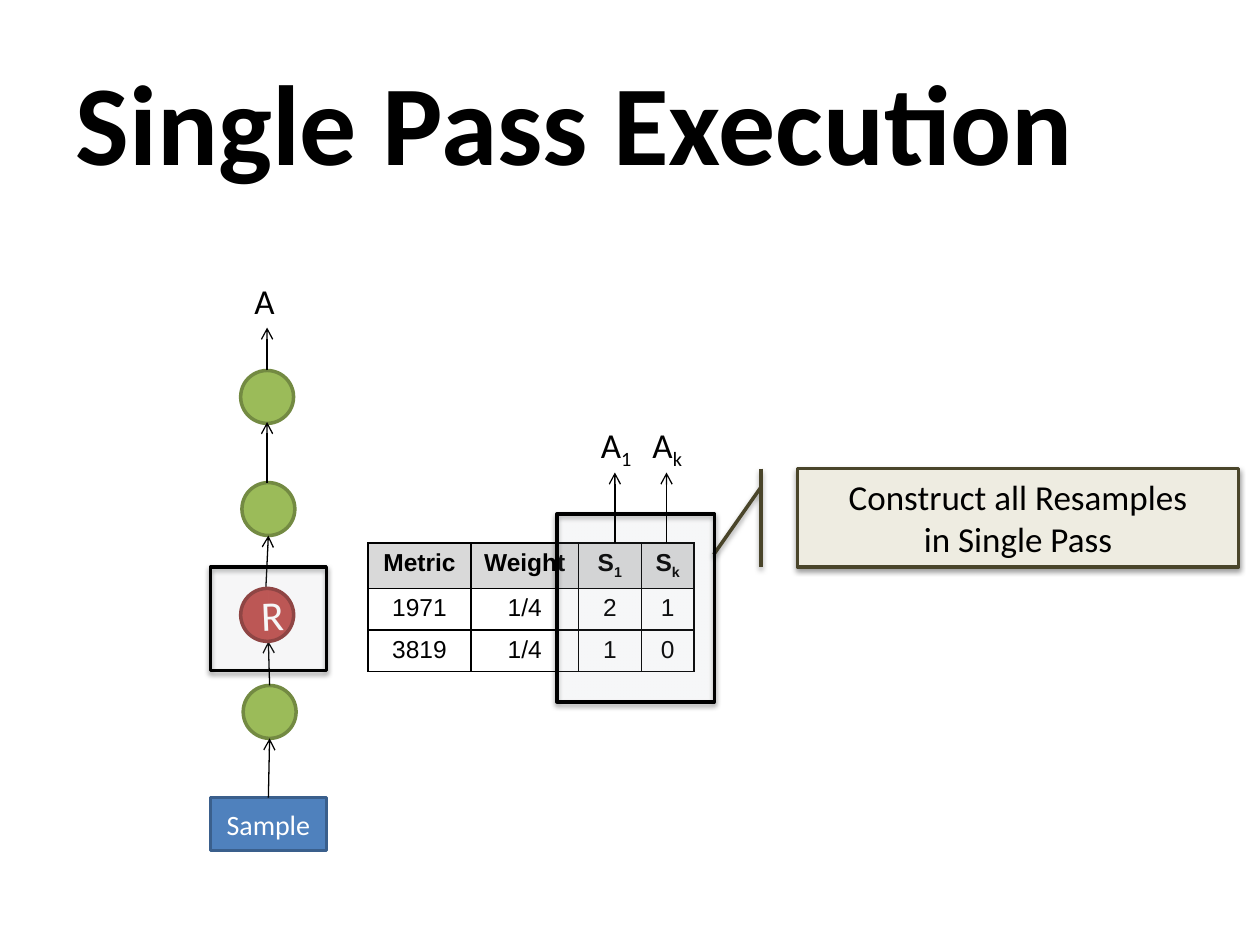
"""Builds the Single Pass Execution slide with its operator chain and resample table."""
from lxml.etree import SubElement
from pptx import Presentation
from pptx.dml.color import RGBColor
from pptx.enum.shapes import MSO_CONNECTOR, MSO_SHAPE
from pptx.enum.text import MSO_ANCHOR, MSO_AUTO_SIZE, PP_ALIGN
from pptx.oxml import parse_xml
from pptx.oxml.ns import nsdecls, qn
from pptx.util import Inches, Pt

THEME = {
    "sans": "Calibri", "grid": "Arial",
    "black": "000000", "white": "FFFFFF", "head": "D9D9D9", "tint": "DCE6F2",
    "blue": ("4F81BD", "3A5F8C"), "green": ("9BBB59", "738A42"),
    "red": ("C0504D", "8E3B39"), "note": ("EEECE1", "4A452A"),
    "title": 65, "op": 24, "label": 20, "box": 16, "cell": 14,
    "edge": 2, "arrow": 0.75,
}

TITLE = "Single Pass Execution"
NOTE = "Construct all Resamples\nin Single Pass"
BEND = (0.188, -0.083, 0.873, -0.19)
DOT = 0.42
DOTS = [(1.93, 5.44), (1.92, 3.83), (1.91, 2.94)]
CHAIN = [
    ((2.14, 5.44), (2.13, 5.09)),
    ((2.11, 4.67), (2.13, 4.25)),
    ((2.12, 3.83), (2.12, 3.35)),
    ((2.12, 2.94), (2.12, 2.6)),
]
FRAMES = [(1.67, 4.5, 0.92, 0.82), (4.42, 4.08, 1.25, 1.49)]
ROWS = [
    ("Metric", "Weight", "S_1", "S_k"),
    ("1971", "1/4", "2", "1"),
    ("3819", "1/4", "1", "0"),
]
COLS = [0.82, 0.85, 0.5, 0.42]
TALL = [0.36, 0.33, 0.33]
LEFT, TOP = 2.92, 4.31
LABELS = [("A", 1.92, 2.17, 0.37), ("A_1", 4.67, 3.31, 0.46), ("A_k", 5.08, 3.31, 0.45)]
RISES = [4.88, 5.29]


def rgb(key):
    return RGBColor.from_string(THEME.get(key, key))


def write(frame, text, size, color="black", face="sans", bold=False, align=PP_ALIGN.CENTER):
    for i, row in enumerate(text.split("\n")):
        para = frame.paragraphs[0] if i == 0 else frame.add_paragraph()
        para.alignment = align
        for j, part in enumerate(row.split("_")):
            run = para.add_run()
            run.text = part
            font = run.font
            font.name, font.size, font.bold = THEME[face], Pt(THEME[size]), bold
            font.color.rgb = rgb(color)
            if j:
                font._element.set("baseline", "-25000")


def draw(slide, kind, place, fill, edge, text="", size="box", color="white"):
    shape = slide.shapes.add_shape(kind, *map(Inches, place))
    shape.shadow.inherit = False
    shape.fill.solid()
    shape.fill.fore_color.rgb = rgb(fill)
    shape.line.color.rgb = rgb(edge)
    shape.line.width = Pt(THEME["edge"])
    shape.text_frame.vertical_anchor = MSO_ANCHOR.MIDDLE
    if text:
        write(shape.text_frame, text, size, color)
    return shape


def shade(shape):
    effects = shape._element.spPr.find(qn("a:effectLst"))
    effects.append(parse_xml(
        f'<a:outerShdw {nsdecls("a")} blurRad="{Pt(3.1)}" dist="{Pt(1.6)}" dir="5400000" '
        'rotWithShape="0"><a:srgbClr val="000000"><a:alpha val="38000"/></a:srgbClr></a:outerShdw>'))


def arrow(slide, start, end):
    link = slide.shapes.add_connector(MSO_CONNECTOR.STRAIGHT, *map(Inches, start + end))
    link.line.color.rgb = rgb("black")
    link.line.width = Pt(THEME["arrow"])
    SubElement(link.line._get_or_add_ln(), qn("a:tailEnd"), type="arrow")
    SubElement(link._element.spPr, qn("a:effectLst"))
    return link


def border(cell):
    props = cell._tc.get_or_add_tcPr()
    for side in ("lnL", "lnR", "lnT", "lnB"):
        line = SubElement(props, qn(f"a:{side}"), w=str(Pt(1)))
        fill = SubElement(line, qn("a:solidFill"))
        SubElement(fill, qn("a:srgbClr"), val=THEME["black"])


def tabulate(slide):
    table = slide.shapes.add_table(
        len(ROWS), len(COLS), Inches(LEFT), Inches(TOP), Inches(sum(COLS)), Inches(sum(TALL))).table
    table.first_row = table.horz_banding = False
    for col, width in zip(table.columns, COLS):
        col.width = Inches(width)
    for i, row in enumerate(ROWS):
        table.rows[i].height = Inches(TALL[i])
        for j, text in enumerate(row):
            cell = table.cell(i, j)
            border(cell)
            if i == 0:
                cell.fill.solid()
                cell.fill.fore_color.rgb = rgb("head")
            else:
                cell.fill.background()
            write(cell.text_frame, text, "cell", face="grid", bold=i == 0)


def main():
    deck = Presentation()
    deck.slide_width, deck.slide_height = Inches(10), Inches(7.5)
    slide = deck.slides.add_slide(deck.slide_layouts[5])

    title = slide.shapes.title
    title.left, title.top, title.width, title.height = map(Inches, (0.5, 0.33, 9.25, 1.25))
    title.text_frame.auto_size = MSO_AUTO_SIZE.NONE
    title.text_frame.vertical_anchor = MSO_ANCHOR.MIDDLE
    write(title.text_frame, TITLE, "title", bold=True, align=PP_ALIGN.LEFT)

    sample = draw(slide, MSO_SHAPE.RECTANGLE, (1.67, 6.33, 0.92, 0.42), *THEME["blue"], "Sample")
    for x, y in DOTS:
        draw(slide, MSO_SHAPE.OVAL, (x, y, DOT, DOT), *THEME["green"])
    for start, end in CHAIN:
        arrow(slide, start, end)
    arrow(slide, (2.13, 6.33), (2.14, 5.86)).begin_connect(sample, 0)
    draw(slide, MSO_SHAPE.OVAL, (1.91, 4.67, DOT, DOT), *THEME["red"], "R", "op").rotation = 357.6

    tabulate(slide)
    note = draw(slide, MSO_SHAPE.LINE_CALLOUT_1_BORDER_AND_ACCENT_BAR,
                (6.33, 3.72, 3.5, 0.78), *THEME["note"], NOTE, "label", "black")
    for i, value in enumerate(BEND):
        note.adjustments[i] = value
    shade(note)

    for place in FRAMES:
        frame = draw(slide, MSO_SHAPE.RECTANGLE, place, "tint", "black")
        tone = frame._element.spPr.find(qn("a:solidFill")).find(qn("a:srgbClr"))
        SubElement(tone, qn("a:alpha"), val="7000")
        shade(frame)
    for x in RISES:
        arrow(slide, (x, TOP), (x, 3.75))
    for text, x, y, width in LABELS:
        box = slide.shapes.add_textbox(*map(Inches, (x, y, width, 0.44)))
        box.text_frame.word_wrap = False
        box.text_frame.auto_size = MSO_AUTO_SIZE.SHAPE_TO_FIT_TEXT
        write(box.text_frame, text, "label", align=PP_ALIGN.LEFT)

    deck.save("out.pptx")


if __name__ == "__main__":
    main()
